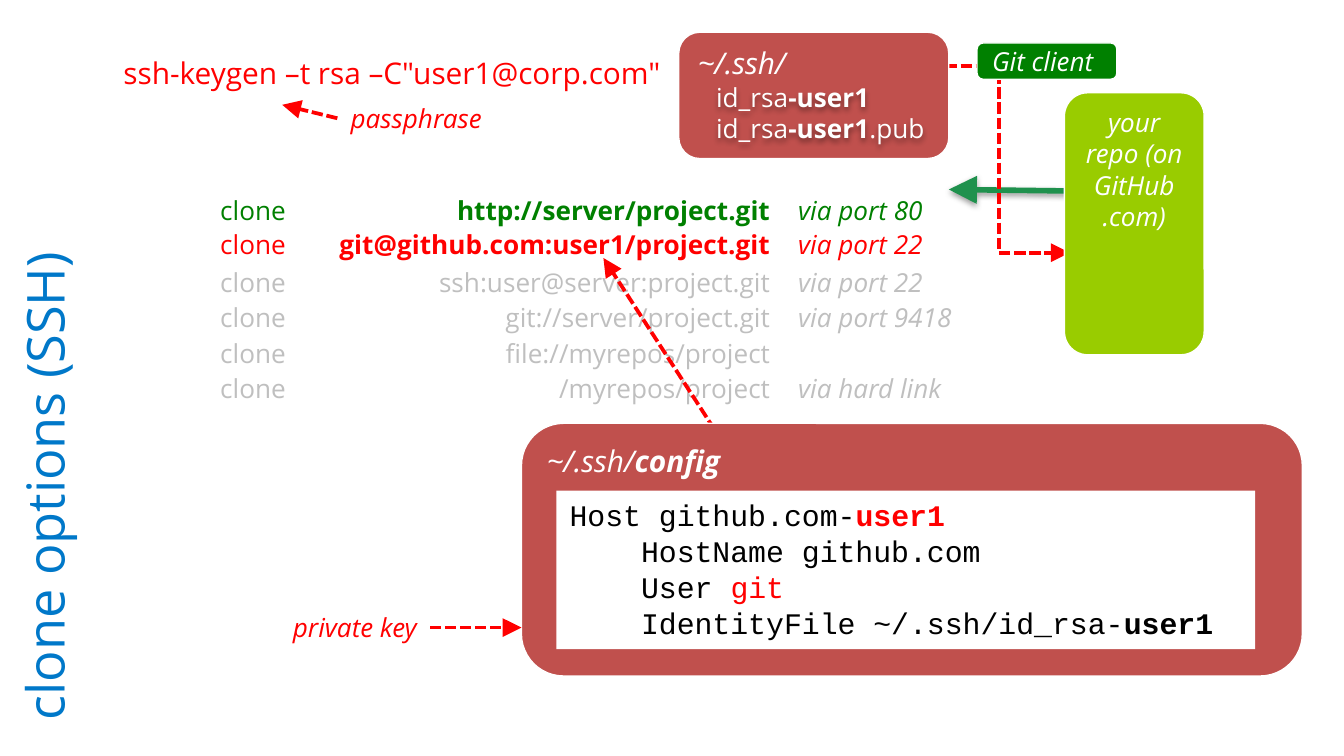
from lxml.etree import SubElement
from pptx import Presentation
from pptx.dml.color import RGBColor
from pptx.enum.dml import MSO_LINE_DASH_STYLE as Dash
from pptx.enum.shapes import MSO_CONNECTOR as Connector, MSO_SHAPE as Shape
from pptx.enum.text import MSO_ANCHOR as Anchor, MSO_AUTO_SIZE as AutoSize, PP_ALIGN as Align
from pptx.oxml.ns import qn
from pptx.util import Inches, Pt

BLUE = RGBColor(0x00, 0x78, 0xC9)
RED = RGBColor(0xFF, 0x00, 0x00)
GREEN = RGBColor(0x00, 0x80, 0x00)
ARROW_GREEN = RGBColor(0x1F, 0x91, 0x4D)
LIME = RGBColor(0x99, 0xCC, 0x00)
BRICK = RGBColor(0xC0, 0x50, 0x4D)
GRAY = RGBColor(0xBF, 0xBF, 0xBF)
WHITE = RGBColor(0xFF, 0xFF, 0xFF)
BLACK = RGBColor(0x00, 0x00, 0x00)
SANS, MONO = "Open Sans", "Courier New"

SLIDE_WIDTH = 10
SLIDE_HEIGHT = SLIDE_WIDTH * 9 / 16

TITLE = "clone options (SSH)"
# top, address, address width, note, note width, colour, bold address
CLONE_ROWS = [
    (1.4, "http://server/project.git", 3.09, "via port 80", 1.66, GREEN, True),
    (1.65, "git@github.com:user1/project.git", 3.88, "via port 22", 1.3, RED, True),
    (1.93, "ssh:user@server:project.git", 3.34, "via port 22", 1.31, GRAY, False),
    (2.19, "git://server/project.git", 3, "via port 9418", 1.55, GRAY, False),
    (2.46, "file://myrepos/project", 2.99, "", 0, GRAY, False),
    (2.72, "/myrepos/project", 2.5, "via hard link", 1.86, GRAY, False),
]
CLONE_LEFT, CLONE_WIDTH, ADDRESS_RIGHT, NOTE_LEFT, ROW_HEIGHT = 1.54, 1.68, 5.83, 5.84, 0.34

# Each paragraph is a list of runs: (text, format changes)
KEYGEN = [[('ssh-keygen –t rsa –C"user1@corp.com"', {})]]
KEY_FILES = [
    [("id_rsa", {}), ("-user1", {"bold": True})],
    [("id_rsa", {}), ("-user1", {"bold": True}), (".pub", {})],
]
SSH_FOLDER = [[("~/.ssh/", {})]]
CONFIG_FILE = [[("~/.ssh/", {}), ("config", {"bold": True})]]
CONFIG_CODE = [
    [("Host github.com-", {}), ("user1", {"color": RED, "bold": True})],
    [("    HostName github.com", {})],
    [("    User ", {}), ("git", {"color": RED})],
    [("    IdentityFile ~/.ssh/id_rsa-", {}), ("user1", {"bold": True})],
]
REPOSITORY = [[("your\vrepo (on", {})], [("GitHub\v.com)", {})]]


def write(shape, paragraphs, color, size=14, font=SANS, italic=False, bold=False,
          align=Align.LEFT, anchor=Anchor.TOP):
    frame = shape.text_frame
    frame.word_wrap = True
    frame.vertical_anchor = anchor
    for index, runs in enumerate(paragraphs):
        paragraph = frame.add_paragraph() if index else frame.paragraphs[0]
        paragraph.alignment = align
        for text, changes in runs:
            for part, piece in enumerate(text.split("\v")):
                if part:
                    paragraph.add_line_break()
                run = paragraph.add_run()
                run.text = piece
                run.font.name, run.font.size = font, Pt(size)
                run.font.italic = italic
                run.font.bold = changes.get("bold", bold)
                run.font.color.rgb = changes.get("color", color)


def add_text(shapes, box, content, color, grow=True, **style):
    text_box = shapes.add_textbox(*map(Inches, box))
    paragraphs = [[(content, {})]] if isinstance(content, str) else content
    write(text_box, paragraphs, color, **style)
    if grow:
        text_box.text_frame.auto_size = AutoSize.SHAPE_TO_FIT_TEXT
    return text_box


def add_box(shapes, kind, box, fill, paragraphs, color=WHITE, outlined=True, **style):
    shape = shapes.add_shape(kind, *map(Inches, box))
    shape.shadow.inherit = False
    shape.fill.solid()
    shape.fill.fore_color.rgb = fill
    if outlined:
        shape.line.color.rgb = WHITE
        shape.line.width = Pt(0.75)
    else:
        shape.line.fill.background()
    write(shape, paragraphs, color, **style)
    return shape


def add_effects(shape, shadow=False):
    """Replace the theme shadow by none, or by a soft one straight below."""
    effects = SubElement(shape._element.spPr, qn("a:effectLst"))
    if shadow:
        outer = SubElement(effects, qn("a:outerShdw"), blurRad=str(Pt(3.1)),
                           dist=str(Pt(1.6)), dir="5400000", rotWithShape="0")
        tint = SubElement(outer, qn("a:srgbClr"), val="000000")
        SubElement(tint, qn("a:alpha"), val="38000")


def add_arrow(shapes, start, end, color=RED, width=2, dashed=True, shadow=False, bend=None):
    kind = Connector.STRAIGHT if bend is None else Connector.ELBOW
    arrow = shapes.add_connector(kind, *map(Inches, start + end))
    arrow.line.color.rgb = color
    arrow.line.width = Pt(width)
    if dashed:
        arrow.line.dash_style = Dash.SQUARE_DOT
    properties = arrow._element.spPr
    SubElement(properties.find(qn("a:ln")), qn("a:tailEnd"), type="triangle", w="lg", len="lg")
    if bend is not None:
        guides = properties.find(qn("a:prstGeom")).get_or_add_avLst()
        SubElement(guides, qn("a:gd"), name="adj1", fmla=f"val {round(bend * 100000)}")
    add_effects(arrow, shadow)


def add_title(slide):
    title = slide.shapes.title
    title.left, title.top, title.width, title.height = map(Inches, (-2.28, 2.52, 5.18, 0.5))
    title.rotation = 270
    frame = title.text_frame
    frame.margin_left = frame.margin_right = frame.margin_top = frame.margin_bottom = 0
    write(title, [[(TITLE, {})]], BLUE, size=28, anchor=Anchor.BOTTOM)


def add_clone_rows(shapes):
    for top, address, address_width, note, note_width, color, bold in CLONE_ROWS:
        add_text(shapes, (CLONE_LEFT, top, CLONE_WIDTH, ROW_HEIGHT), "clone", color)
        add_text(shapes, (ADDRESS_RIGHT - address_width, top, address_width, ROW_HEIGHT),
                 address, color, bold=bold, align=Align.RIGHT)
        if note:
            add_text(shapes, (NOTE_LEFT, top, note_width, ROW_HEIGHT), note, color, italic=True)


def main():
    presentation = Presentation()
    presentation.slide_width = Inches(SLIDE_WIDTH)
    presentation.slide_height = Inches(SLIDE_HEIGHT)
    slide = presentation.slides.add_slide(presentation.slide_layouts[5])
    shapes = slide.shapes

    add_arrow(shapes, (8.67, 1.43), (7.06, 1.41), ARROW_GREEN, 3, dashed=False, shadow=True)
    add_title(slide)
    add_clone_rows(shapes)

    add_text(shapes, (0.82, 0.36, 4.61, 0.37), KEYGEN, RED, size=16)
    add_text(shapes, (2.51, 0.71, 1.25, 0.34), "passphrase", RED, italic=True)
    add_arrow(shapes, (2.51, 0.88), (2.1, 0.78))

    add_arrow(shapes, (6.03, 0.49), (7.96, 1.88), bend=0.728)
    add_box(shapes, Shape.ROUNDED_RECTANGLE, (5.05, 0.24, 2.01, 0.94), BRICK, SSH_FOLDER,
            size=16, italic=True)
    key_files = add_text(shapes, (5.23, 0.61, 1.92, 0.46), KEY_FILES, WHITE,
                         grow=False, anchor=Anchor.MIDDLE)
    add_effects(key_files, shadow=True)

    add_arrow(shapes, (5.5, 3.48), (4.49, 1.92))
    add_box(shapes, Shape.ROUNDED_RECTANGLE, (3.88, 3.15, 5.81, 1.88), BRICK, CONFIG_FILE,
            size=16, italic=True)
    code = add_box(shapes, Shape.RECTANGLE, (4.14, 3.65, 5.2, 1.18), WHITE, CONFIG_CODE,
                   BLACK, outlined=False, size=16, font=MONO)
    code.text_frame.auto_size = AutoSize.SHAPE_TO_FIT_TEXT

    add_box(shapes, Shape.ROUNDED_RECTANGLE, (7.27, 0.32, 1.04, 0.27), GREEN,
            [[("Git client", {})]], italic=True, anchor=Anchor.MIDDLE)
    add_box(shapes, Shape.ROUNDED_RECTANGLE, (7.92, 0.69, 1.04, 1.95), LIME, REPOSITORY,
            italic=True, align=Align.CENTER)
    add_text(shapes, (1.95, 4.5, 1.25, 0.34), "private key", RED, italic=True,
             align=Align.RIGHT)
    add_arrow(shapes, (3.2, 4.67), (3.88, 4.67))

    presentation.save("out.pptx")


if __name__ == "__main__":
    main()
